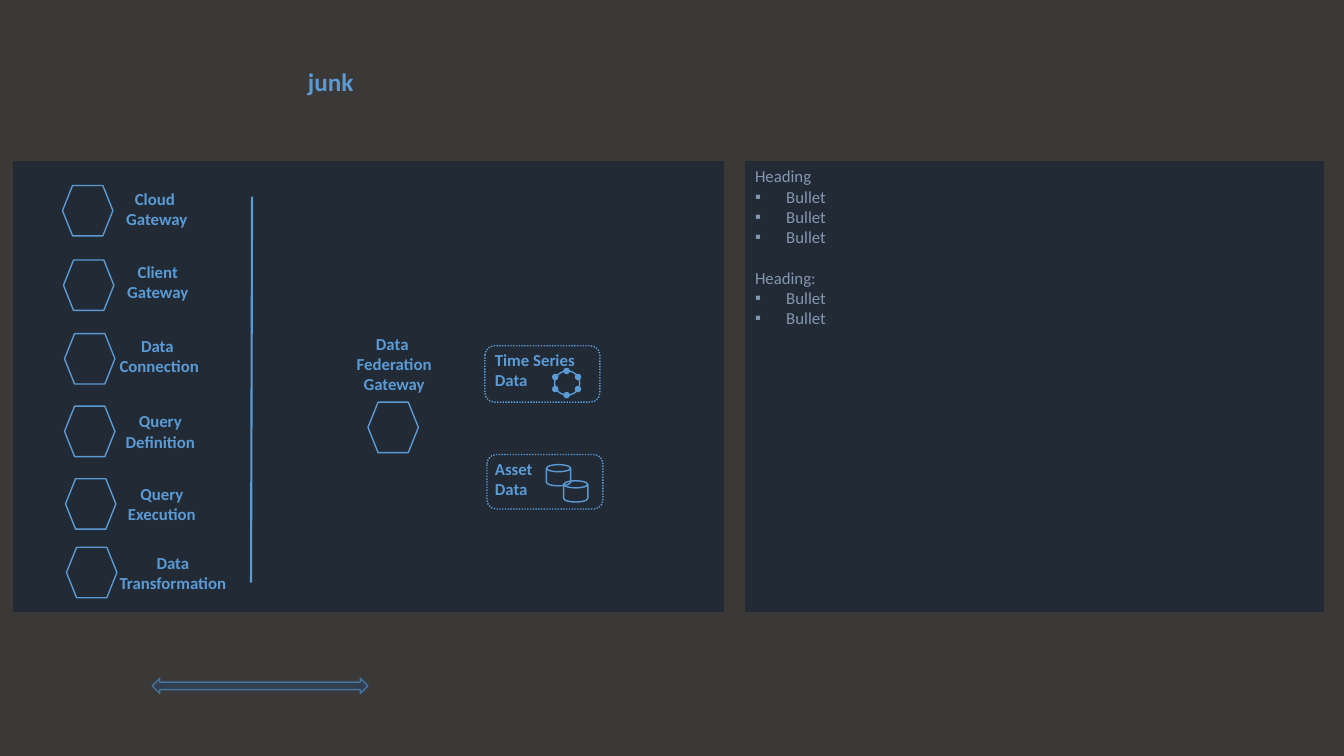
"""Build the data federation diagram slide with its notes panel."""
from math import cos, pi, sin
from typing import Any, NamedTuple

from lxml.etree import SubElement
from pptx import Presentation
from pptx.dml.color import RGBColor
from pptx.enum.dml import MSO_LINE
from pptx.enum.shapes import MSO_CONNECTOR, MSO_SHAPE as Kind
from pptx.enum.text import MSO_ANCHOR as Anchor, MSO_AUTO_SIZE as Fit, PP_ALIGN as Align
from pptx.oxml.ns import qn
from pptx.util import Inches, Pt

COLUMNS, ROWS = 13.33, 7.5
CELL = Inches(1)
BACKDROP, PANEL, ACCENT, NOTE = "3B3838", "222A35", "5B9BD5", "8497B0"
ARROW_FILL, ARROW_LINE = "333F50", "43739E"
HEXAGON, LABEL_ROWS = 0.5, 0.5
PANEL_TOP, PANEL_ROWS = 1.6, 4.47
LABEL = {"size": Pt(12), "name": "Calibri", "bold": True}
BODY = {**LABEL, "bold": False}
HEADING = {**LABEL, "size": Pt(18)}


class Area(NamedTuple):
    """A rectangle measured in grid columns and rows."""
    left: float
    top: float
    width: float
    height: float

    def lengths(self) -> list[int]:
        """Convert the grid measures to slide units."""
        return [round(value * CELL) for value in self]


class Service(NamedTuple):
    """A hexagon with its label at the right."""
    text: str
    left: float
    top: float
    label_left: float
    label_top: float
    label_width: float


class Store(NamedTuple):
    """A dotted frame around a data store with its label."""
    text: str
    frame: Area
    label: Area
    wrap: bool


class Section(NamedTuple):
    """A heading of the notes panel and its bullets."""
    heading: str
    bullets: int
    gap: float


SERVICES = [
    Service("Cloud \vGateway", 0.62, 1.84, 1.15, 1.82, 0.81),
    Service("Client\vGateway", 0.63, 2.58, 1.16, 2.55, 0.81),
    Service("Data \vConnection", 0.64, 3.31, 1.08, 3.28, 1),
    Service("Query\vDefinition", 0.64, 4.03, 1.14, 4.03, 0.9),
    Service("Query\vExecution", 0.65, 4.75, 1.16, 4.75, 0.89),
    Service("Data\vTransformation", 0.66, 5.43, 1.08, 5.43, 1.27),
]
STORES = [
    Store("Time Series \vData", Area(4.81, 3.43, 1.14, 0.56),
          Area(4.81, 3.42, 1.14, LABEL_ROWS), True),
    Store("Asset \vData", Area(4.83, 4.51, 1.15, 0.54),
          Area(4.81, 4.5, 0.61, LABEL_ROWS), False),
]
DISKS = [Area(5.42, 4.61, 0.24, 0.21), Area(5.59, 4.77, 0.24, 0.21)]
SECTIONS = [Section("Heading", 3, 0), Section("Heading:", 2, 14.6)]


def colour(code: str) -> RGBColor:
    """Turn a hex string into a colour."""
    return RGBColor.from_string(code)


def apply(target: Any, values: dict[str, Any]) -> None:
    """Set every named attribute on the target."""
    for name, value in values.items():
        setattr(target, name, value)


def style(font: Any, values: dict[str, Any], code: str) -> None:
    """Give a font its format and colour."""
    apply(font, values)
    font.color.rgb = colour(code)


def draw(shapes: Any, kind: Kind, area: Area, fill: str = "",
         line: str = ACCENT, dash: Any = None) -> Any:
    """Draw one preset shape; an empty colour means none."""
    shape = shapes.add_shape(kind, *area.lengths())
    shape.shadow.inherit = False
    for paint, code in ((shape.fill, fill), (shape.line.fill, line)):
        if code:
            paint.solid()
            paint.fore_color.rgb = colour(code)
        else:
            paint.background()
    if line:
        apply(shape.line, {"width": Pt(1), "dash_style": dash})
    return shape


def hexagon(shapes: Any, left: float, top: float) -> None:
    """Draw one service hexagon."""
    draw(shapes, Kind.FLOWCHART_PREPARATION, Area(left, top, HEXAGON, HEXAGON))


def write(box: Any, text: str, font: dict[str, Any], align: Align, wrap: bool) -> None:
    """Fill a text holder with formatted text."""
    frame = box.text_frame
    frame.text = text
    apply(frame, {"word_wrap": wrap, "auto_size": Fit.SHAPE_TO_FIT_TEXT,
                  "vertical_anchor": Anchor.TOP})
    for para in frame.paragraphs:
        para.alignment = align
        for span in para.runs:
            style(span.font, font, ACCENT)


def label(shapes: Any, area: Area, text: str, align: Align = Align.CENTER,
          wrap: bool = False) -> None:
    """Add a bold label."""
    write(shapes.add_textbox(*area.lengths()), text, LABEL, align, wrap)


def bullet(para: Any) -> None:
    """Give a paragraph a square bullet with a hanging indent."""
    properties = para._p.get_or_add_pPr()
    indent = Inches(0.31)
    properties.set("marL", str(indent))
    properties.set("indent", str(-indent))
    SubElement(properties, qn("a:buFont"), typeface="Arial")
    SubElement(properties, qn("a:buChar"), char="▪")


def notes_panel(shapes: Any) -> None:
    """Draw the right panel with its headings and bullets."""
    panel = draw(shapes, Kind.RECTANGLE, Area(7.39, PANEL_TOP, 5.74, PANEL_ROWS), PANEL, "")
    frame = panel.text_frame
    apply(frame, {"vertical_anchor": Anchor.TOP, "word_wrap": True})
    lines = [(text, section.gap if not position else 0, position > 0)
             for section in SECTIONS
             for position, text in enumerate([section.heading] + ["Bullet"] * section.bullets)]
    for index, (text, gap, marked) in enumerate(lines):
        para = frame.add_paragraph() if index else frame.paragraphs[0]
        apply(para, {"alignment": Align.LEFT, "space_before": Pt(gap)})
        span = para.add_run()
        span.text = text
        style(span.font, BODY, NOTE)
        if marked:
            bullet(para)


def ring(shapes: Any) -> None:
    """Draw the time series ring with six evenly spaced dots."""
    group = shapes.add_group_shape().shapes
    across, down, dot = 5.62, 3.8, 0.05
    draw(group, Kind.OVAL, Area(across - 0.12, down - 0.12, 0.25, 0.24))
    for step in range(6):
        angle = pi / 2 + step * pi / 3
        left = across + 0.13 * cos(angle) - dot / 2
        top = down + 0.12 * sin(angle) - dot / 2
        draw(group, Kind.OVAL, Area(left, top, dot, dot), ACCENT)


def divider(shapes: Any) -> None:
    """Draw the line between the services and the gateway."""
    ends = [round(value * CELL) for value in (2.5, 1.95, 2.49, 5.78)]
    line = shapes.add_connector(MSO_CONNECTOR.STRAIGHT, *ends)
    line.line.color.rgb = colour(ACCENT)
    line.line.width = Pt(1.5)
    SubElement(line._element.spPr, qn("a:effectLst"))


def main() -> None:
    """Compose the slide and save the deck."""
    deck = Presentation()
    apply(deck, {"slide_width": round(COLUMNS * CELL), "slide_height": round(ROWS * CELL)})
    page = deck.slides.add_slide(deck.slide_layouts[5])
    page.background.fill.solid()
    page.background.fill.fore_color.rgb = colour(BACKDROP)
    shapes = page.shapes
    title = shapes.title
    apply(title, dict(zip(("left", "top", "width", "height"),
                          Area(1.41, 0.61, 3.74, 0.4).lengths())))
    write(title, "junk", HEADING, Align.CENTER, True)
    draw(shapes, Kind.RECTANGLE, Area(0.13, PANEL_TOP, 7.05, PANEL_ROWS), PANEL, "")
    draw(shapes, Kind.LEFT_RIGHT_ARROW, Area(1.51, 6.73, 2.14, 0.15), ARROW_FILL, ARROW_LINE)
    for store in STORES:
        draw(shapes, Kind.ROUNDED_RECTANGLE, store.frame, dash=MSO_LINE.ROUND_DOT)
        label(shapes, store.label, store.text, Align.LEFT, store.wrap)
    ring(shapes)
    for disk in DISKS:
        draw(shapes, Kind.FLOWCHART_MAGNETIC_DISK, disk)
    divider(shapes)
    hexagon(shapes, 3.65, 3.99)
    label(shapes, Area(3.43, 3.26, 0.96, 0.71), "Data \vFederation\nGateway")
    notes_panel(shapes)
    for service in SERVICES:
        hexagon(shapes, service.left, service.top)
        label(shapes, Area(service.label_left, service.label_top,
                           service.label_width, LABEL_ROWS), service.text)
    deck.save("out.pptx")


main()
